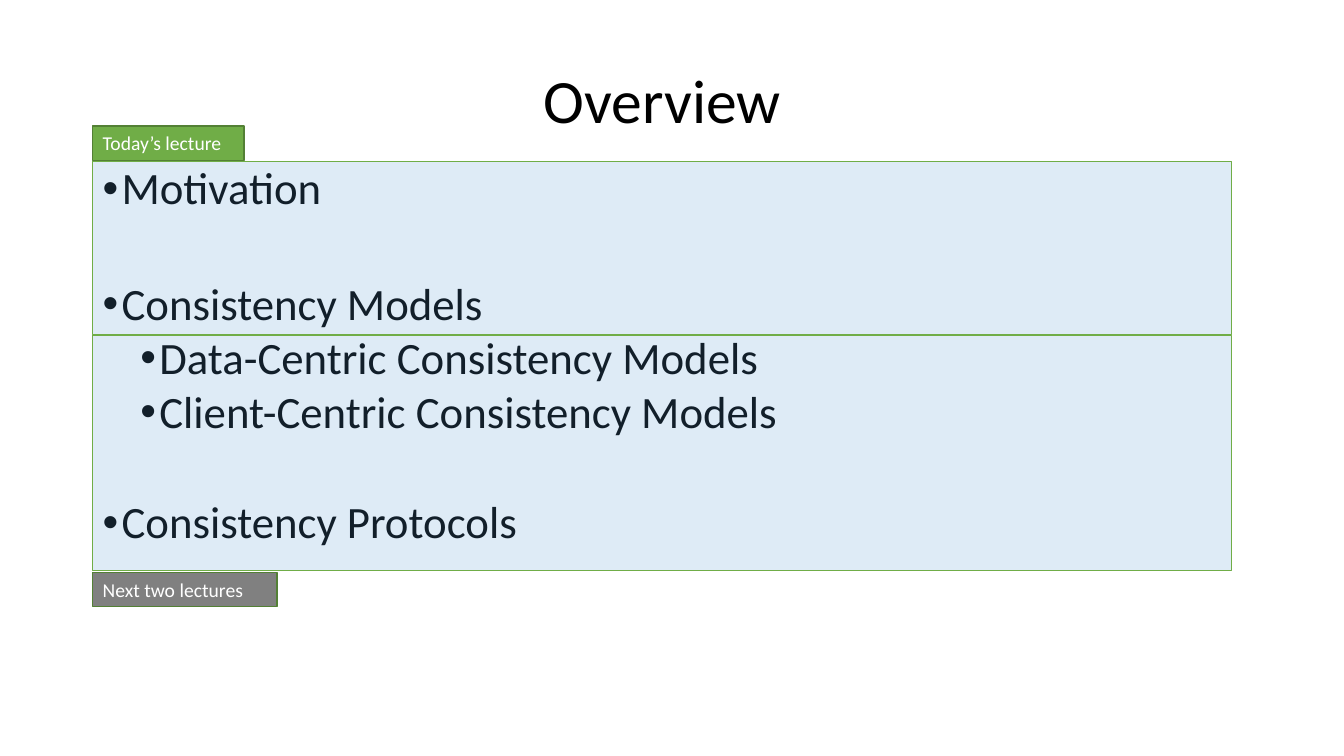
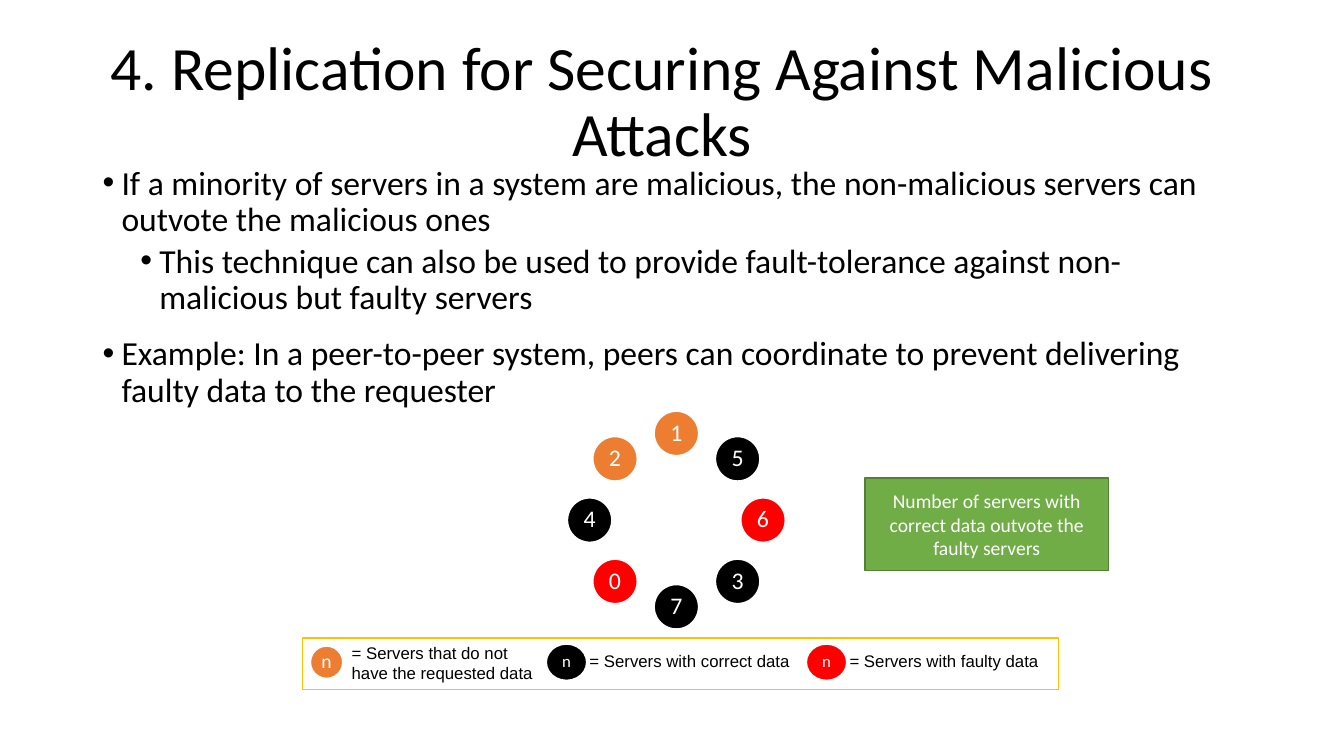
from math import cos, radians, sin

from lxml.etree import SubElement
from pptx import Presentation
from pptx.dml.color import RGBColor
from pptx.enum.shapes import MSO_SHAPE
from pptx.enum.text import MSO_ANCHOR, PP_ALIGN
from pptx.oxml.ns import qn
from pptx.util import Inches, Pt

# Shared style: lengths are columns and rows of a grid with 0.1 inch cells
CELL = 0.1
COLUMNS, ROWS = 133.33, 75
LEFT, WIDTH = 9.2, 113
BODY_TOP = 16
INDENT_STEP, BULLET_HANG = 3.75, 1.875
COLORS = {
    "white": "FFFFFF",
    "black": "000000",
    "green": "70AD47",
    "dark_green": "538035",
    "blue": "5B9BD5",
    "grey": "808080",
    "gold": "FFC000",
    "orange": "ED7D31",
    "red": "FF0000",
}
# Server states and the colours that mark them
MISSING, CORRECT, FAULTY = "orange", "black", "red"


def cells(count):
    return Inches(count * CELL)


def color(name):
    return RGBColor.from_string(COLORS[name])


def style_paragraph(paragraph, text, size, font_color, font="Calibri"):
    paragraph.text = text
    paragraph.font.size = Pt(size)
    paragraph.font.name = font
    paragraph.font.color.rgb = color(font_color)


def add_text(slide, area, lines, size, font="Calibri"):
    """Add a wrapping text box with one paragraph per line."""
    frame = slide.shapes.add_textbox(*map(cells, area)).text_frame
    frame.word_wrap = True
    for index, line in enumerate(lines):
        paragraph = frame.add_paragraph() if index else frame.paragraphs[0]
        style_paragraph(paragraph, line, size, "black", font)
    return frame


def add_title(slide, text):
    frame = add_text(slide, (LEFT, 3, WIDTH, 14.5), [text], 44)
    frame.vertical_anchor = MSO_ANCHOR.MIDDLE
    frame.paragraphs[0].alignment = PP_ALIGN.CENTER
    frame.paragraphs[0].line_spacing = 0.9


def add_bullets(slide, items, size):
    """Add bullets given as (level, space before in points, text)."""
    area = (LEFT, BODY_TOP, WIDTH, 55)
    frame = add_text(slide, area, [text for _, _, text in items], size)
    for paragraph, (level, space, _) in zip(frame.paragraphs, items):
        paragraph.level = level
        paragraph.line_spacing = 0.9
        paragraph.space_before = Pt(space)
        properties = paragraph._p.get_or_add_pPr()
        properties.set("marL", str(cells(BULLET_HANG + level * INDENT_STEP)))
        properties.set("indent", str(-cells(BULLET_HANG)))
        SubElement(properties, qn("a:buFont"), typeface="Arial")
        SubElement(properties, qn("a:buChar"), char="•")


def add_box(slide, area, fill, line, line_width=1, kind=MSO_SHAPE.RECTANGLE):
    shape = slide.shapes.add_shape(kind, *map(cells, area))
    shape.shadow.inherit = False
    shape.fill.solid()
    shape.fill.fore_color.rgb = color(fill)
    shape.line.color.rgb = color(line)
    shape.line.width = Pt(line_width)
    return shape


def add_label(slide, area, text, fill, alignment=PP_ALIGN.LEFT):
    frame = add_box(slide, area, fill, "dark_green").text_frame
    frame.word_wrap = True
    style_paragraph(frame.paragraphs[0], text, 14, "white")
    frame.paragraphs[0].alignment = alignment


def add_highlight(slide, top, height):
    """Lay a see-through band over the bullets."""
    shape = add_box(slide, (LEFT, top, WIDTH, height), "blue", "green", 0.5)
    fill_color = shape.element.spPr.find(qn("a:solidFill")).find(qn("a:srgbClr"))
    SubElement(fill_color, qn("a:alpha"), val="20000")


def add_server(slide, center, width, height, text, state, size):
    column, row = center
    area = (column - width / 2, row - height / 2, width, height)
    frame = add_box(slide, area, state, "white", kind=MSO_SHAPE.OVAL).text_frame
    frame.margin_left = frame.margin_right = cells(0.2)
    frame.margin_top = frame.margin_bottom = cells(0.2)
    frame.word_wrap = True
    paragraph = frame.paragraphs[0]
    style_paragraph(paragraph, text, size, "white")
    paragraph.alignment = PP_ALIGN.CENTER
    paragraph.line_spacing = 0.9


def add_server_ring(slide, servers, center, radius):
    """Place the servers clockwise on a circle, starting at the top."""
    for index, (text, state) in enumerate(servers):
        angle = radians(index * 360 / len(servers))
        place = (center[0] + radius * sin(angle), center[1] - radius * cos(angle))
        add_server(slide, place, 4.4, 4.4, text, state, 17)


def add_legend(slide):
    add_box(slide, (30, 63.3, 75, 5.1), "white", "gold")
    # State, centre column, width, height, text size, label area, label lines
    entries = [
        (MISSING, 32.4, 3.2, 3.2, 14, (33.9, 63.3, 20.2, 5.1),
         ["= Servers that do not", "have the requested data"]),
        (CORRECT, 56.2, 4, 3.6, 12, (57.5, 64.1, 23.3, 3),
         ["= Servers with correct data"]),
        (FAULTY, 82, 4, 3.6, 12, (83.3, 64.1, 23.3, 3),
         ["= Servers with faulty data"]),
    ]
    for state, column, width, height, size, area, lines in entries:
        add_server(slide, (column, 65.7), width, height, "n", state, size)
        add_text(slide, area, lines, 12, "Arial")


def build_overview(slide):
    add_title(slide, "Overview")
    add_bullets(slide, [
        (0, 7.5, "Motivation"),
        (0, 48, "Consistency Models"),
        (1, 3.8, "Data-Centric Consistency Models"),
        (1, 3.8, "Client-Centric Consistency Models"),
        (0, 44.5, "Consistency Protocols"),
    ], 32)
    # Bands and tags for the lectures
    add_highlight(slide, BODY_TOP, 17.2)
    add_label(slide, (LEFT, 12.5, 15, 3.4), "Today’s lecture", "green")
    add_label(slide, (LEFT, 56.8, 18.3, 3.4), "Next two lectures", "grey")
    add_highlight(slide, 33.3, 23.3)


def build_replication(slide):
    add_title(slide, "4. Replication for Securing Against Malicious Attacks")
    add_bullets(slide, [
        (0, 7.5, "If a minority of servers in a system are malicious, "
                 "the non-malicious servers can outvote the malicious ones"),
        (1, 3.8, "This technique can also be used to provide fault-tolerance "
                 "against non-malicious but faulty servers"),
        (0, 14.5, "Example: In a peer-to-peer system, peers can coordinate "
                  "to prevent delivering faulty data to the requester"),
    ], 24)
    # Voting diagram
    servers = [
        ("1", MISSING), ("5", CORRECT), ("6", FAULTY), ("3", CORRECT),
        ("7", CORRECT), ("0", FAULTY), ("4", CORRECT), ("2", MISSING),
    ]
    add_server_ring(slide, servers, center=(67.1, 51.6), radius=8.6)
    add_legend(slide)
    add_label(slide, (85.8, 47.4, 24.2, 9.2),
              "Number of servers with correct data outvote the faulty servers",
              "green", PP_ALIGN.CENTER)


def main():
    presentation = Presentation()
    presentation.slide_width = cells(COLUMNS)
    presentation.slide_height = cells(ROWS)
    blank_layout = presentation.slide_layouts[6]
    for build in (build_overview, build_replication):
        build(presentation.slides.add_slide(blank_layout))
    presentation.save("out.pptx")


if __name__ == "__main__":
    main()
